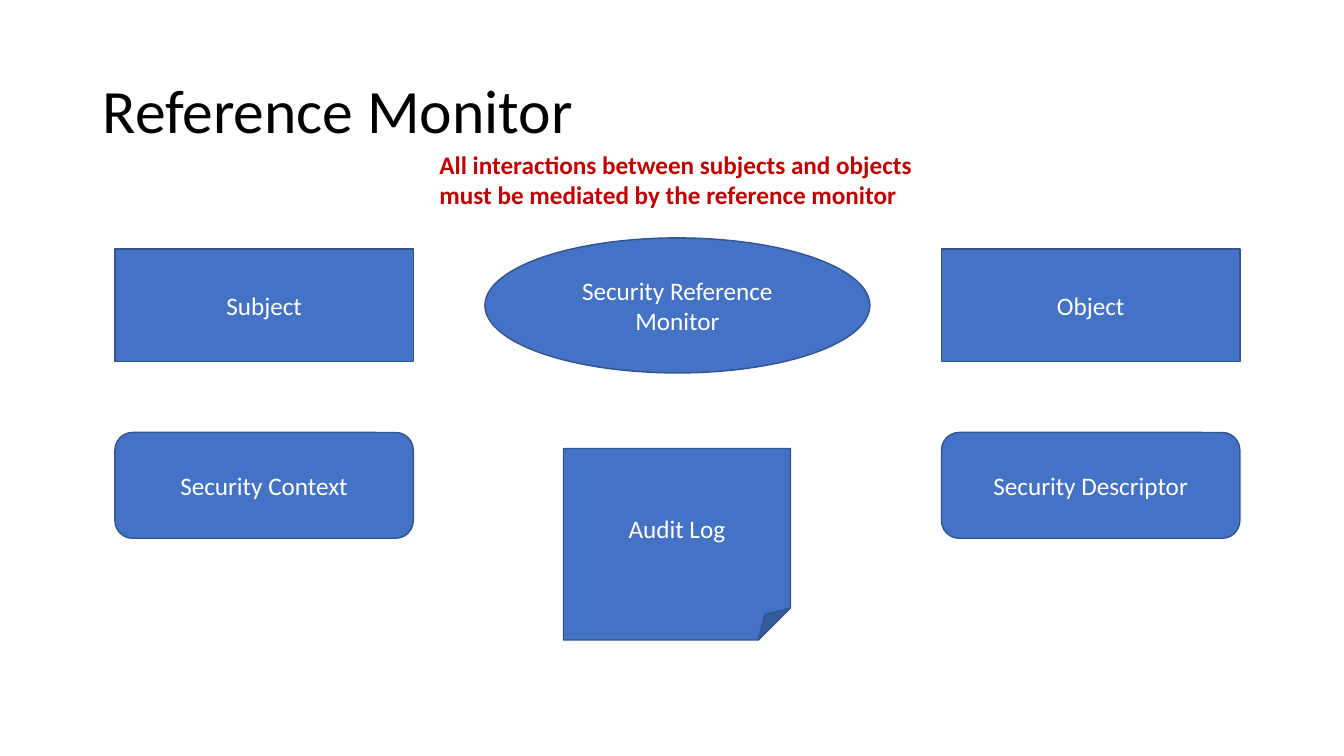
import dataclasses

import pptx
import pptx.dml.color
import pptx.enum.shapes
import pptx.enum.text
import pptx.util

Kind = pptx.enum.shapes.MSO_SHAPE
Align = pptx.enum.text.PP_ALIGN
Anchor = pptx.enum.text.MSO_ANCHOR


@dataclasses.dataclass(frozen=True)
class Theme:
    font: str = "Calibri"
    ink: str = "000000"
    paper: str = "FFFFFF"
    fill: str = "4472C4"
    edge: str = "325491"
    alert: str = "C00000"
    title: int = 44
    body: int = 18
    line: int = 1


class Page:
    def __init__(self, deck, theme):
        self.deck = deck
        self.theme = theme
        self.slide = deck.slides.add_slide(deck.slide_layouts[6])

    def place(self, left, top, width, height):
        wide, high = self.deck.slide_width, self.deck.slide_height
        pairs = ((left, wide), (top, high), (width, wide), (height, high))
        return [round(share * full / 100) for share, full in pairs]

    def label(self, shape, text, size, color, align, anchor, bold=False):
        frame = shape.text_frame
        frame.word_wrap = True
        frame.vertical_anchor = anchor
        para = frame.paragraphs[0]
        para.alignment = align
        run = para.add_run()
        run.text = text
        run.font.name = self.theme.font
        run.font.size = pptx.util.Pt(size)
        run.font.bold = bold
        run.font.color.rgb = pptx.dml.color.RGBColor.from_string(color)
        return para

    def title(self, text, *area):
        box = self.slide.shapes.add_textbox(*self.place(*area))
        para = self.label(box, text, self.theme.title, self.theme.ink,
                          Align.LEFT, Anchor.MIDDLE)
        para.line_spacing = 0.9

    def note(self, text, *area):
        box = self.slide.shapes.add_textbox(*self.place(*area))
        self.label(box, text, self.theme.body, self.theme.alert,
                   Align.LEFT, Anchor.TOP, bold=True)
        box.text_frame.auto_size = pptx.enum.text.MSO_AUTO_SIZE.SHAPE_TO_FIT_TEXT

    def node(self, kind, text, *area):
        shape = self.slide.shapes.add_shape(kind, *self.place(*area))
        shape.shadow.inherit = False
        shape.fill.solid()
        shape.fill.fore_color.rgb = pptx.dml.color.RGBColor.from_string(self.theme.fill)
        shape.line.color.rgb = pptx.dml.color.RGBColor.from_string(self.theme.edge)
        shape.line.width = pptx.util.Pt(self.theme.line)
        self.label(shape, text, self.theme.body, self.theme.paper,
                   Align.CENTER, Anchor.MIDDLE)


def main():
    deck = pptx.Presentation()
    deck.slide_width = pptx.util.Inches(13.33)
    deck.slide_height = pptx.util.Inches(7.5)
    page = Page(deck, Theme())

    page.title("Reference Monitor", 6.9, 5.33, 86.25, 19.33)

    sides = ((8.55, "Subject", "Security Context"),
             (70.05, "Object", "Security Descriptor"))
    for left, actor, detail in sides:
        page.node(Kind.RECTANGLE, actor, left, 32.93, 22.2, 14.93)
        page.node(Kind.ROUNDED_RECTANGLE, detail, left, 57.2, 22.2, 14)

    page.node(Kind.OVAL, "Security Reference Monitor", 36.08, 31.47, 28.65, 17.87)
    page.node(Kind.FOLDED_CORNER, "Audit Log", 41.93, 59.33, 16.88, 25.33)

    page.note("All interactions between subjects and objects must be "
              "mediated by the reference monitor", 31.95, 19.07, 40.2, 9.47)

    deck.save("out.pptx")


if __name__ == "__main__":
    main()
